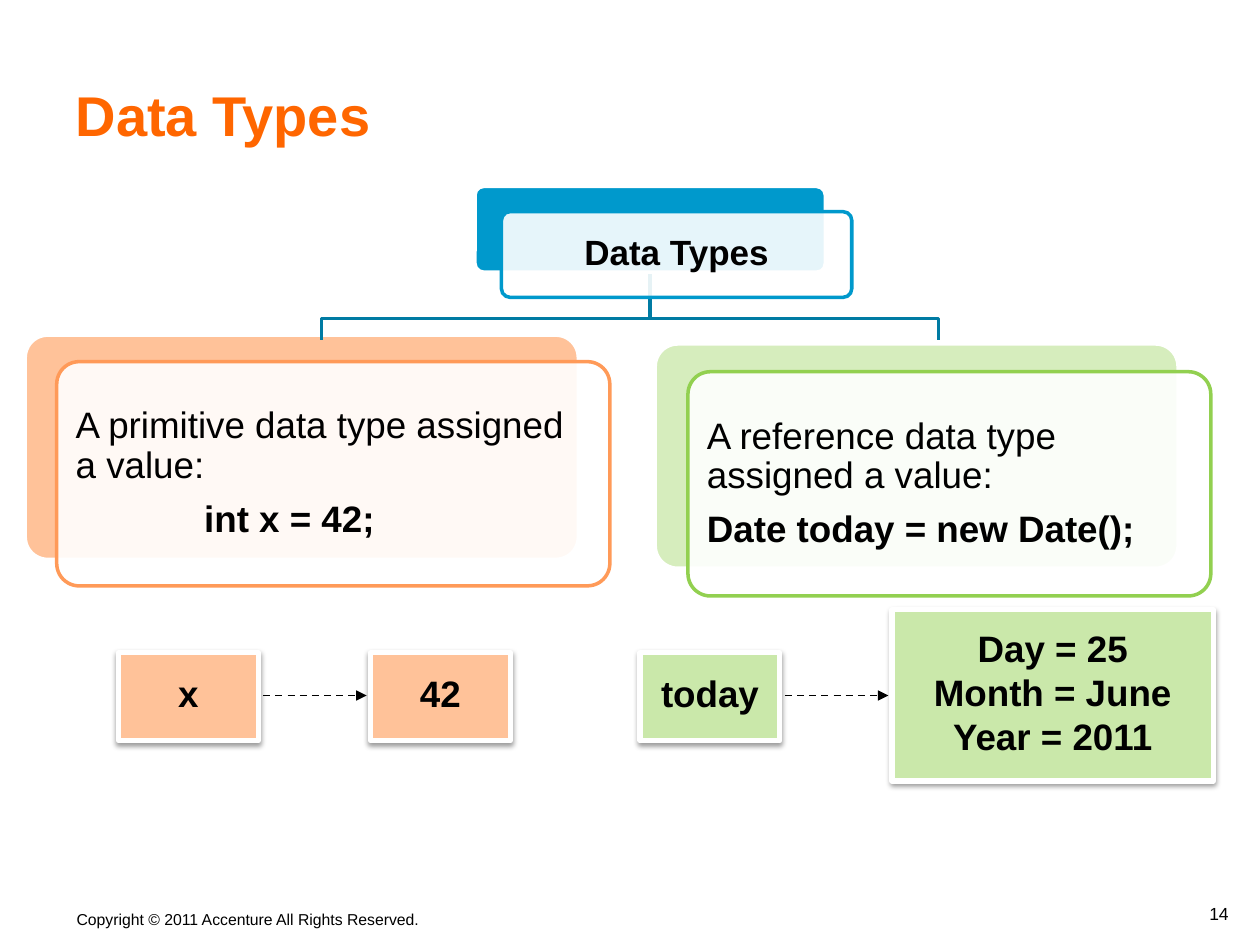
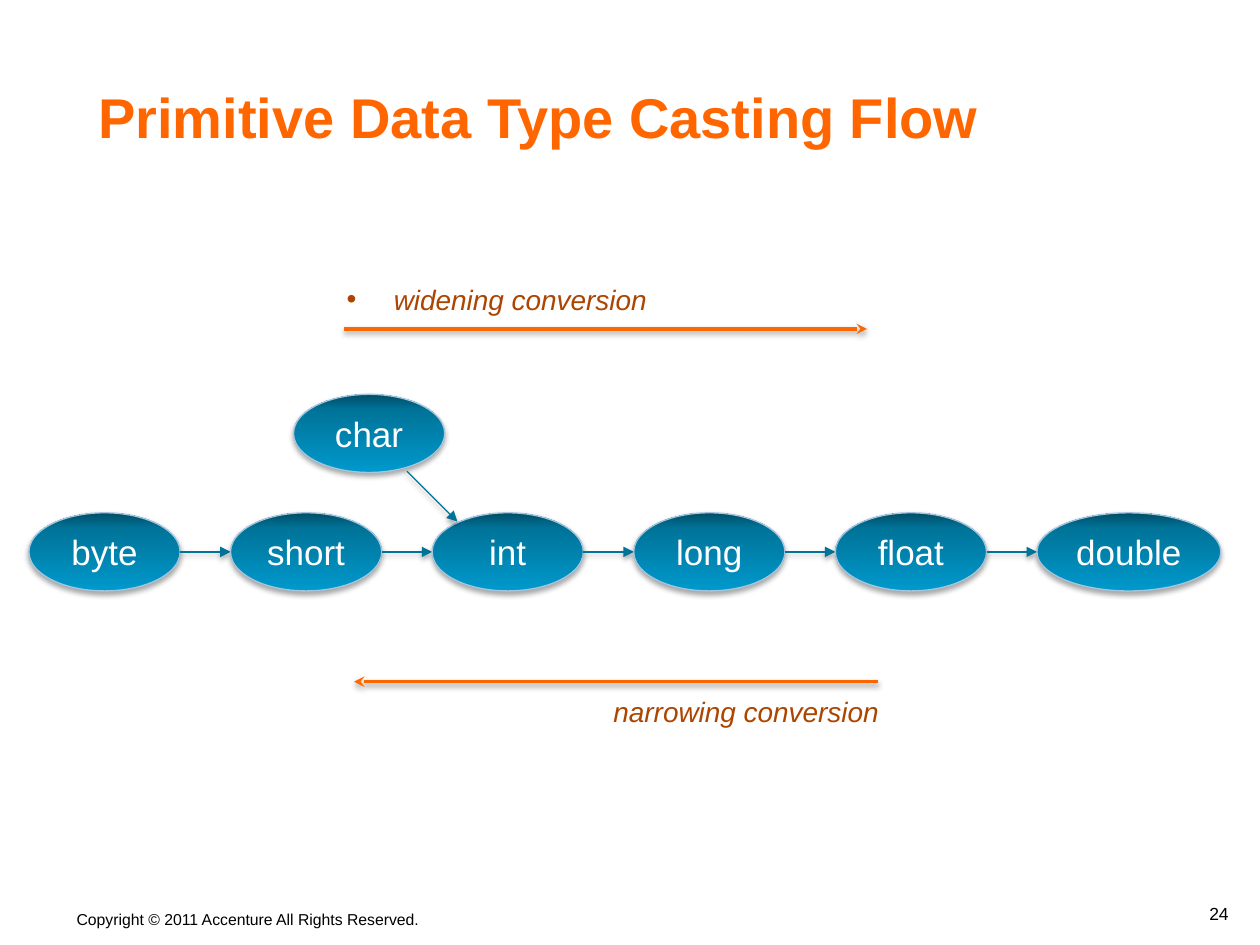
from dataclasses import dataclass, replace
from typing import Optional

from lxml import etree
from pptx import Presentation
from pptx.dml.color import RGBColor
from pptx.enum.dml import MSO_LINE
from pptx.enum.shapes import MSO_CONNECTOR, MSO_SHAPE
from pptx.enum.text import MSO_ANCHOR, MSO_AUTO_SIZE, PP_ALIGN
from pptx.oxml.ns import qn
from pptx.util import Inches, Pt

LEFT, CENTER, RIGHT = PP_ALIGN.LEFT, PP_ALIGN.CENTER, PP_ALIGN.RIGHT
TOP, MIDDLE, BOTTOM = MSO_ANCHOR.TOP, MSO_ANCHOR.MIDDLE, MSO_ANCHOR.BOTTOM
RECT, OVAL = MSO_SHAPE.RECTANGLE, MSO_SHAPE.OVAL
ROUNDED = MSO_SHAPE.ROUNDED_RECTANGLE
STRAIGHT, DASH, NO_FIT = MSO_CONNECTOR.STRAIGHT, MSO_LINE.DASH, MSO_AUTO_SIZE.NONE

FONT = "Arial"
BLACK, WHITE = "000000", "FFFFFF"
ORANGE, RUST = "FF6600", "AD4500"
PEACH, PEACH_EDGE = "FFC299", "FF9A58"
PALE_GREEN, GREEN, GREEN_EDGE = "D6EDBD", "CAE8AA", "92D050"
BLUE, TREE_BLUE, FLOW_BLUE, OVAL_EDGE = "0099CC", "007BA3", "007399", "A5C6DE"
OVAL_GRADIENT = ((0, BLUE), (80, FLOW_BLUE), (100, "004D66"))
COPYRIGHT = "Copyright © 2011 Accenture All Rights Reserved."


@dataclass(frozen=True)
class Box:
    left: float
    top: float
    width: float
    height: float

    def lengths(self) -> tuple:
        return tuple(Inches(v) for v in (self.left, self.top, self.width, self.height))


@dataclass(frozen=True)
class TextStyle:
    size: float
    color: str = BLACK
    bold: bool = False
    italic: bool = False
    align: PP_ALIGN = LEFT
    anchor: MSO_ANCHOR = TOP
    spacing: float = 1.0
    before: float = 0
    after: float = 0
    wrap: bool = True


@dataclass(frozen=True)
class Shadow:
    opacity: int
    blur: float
    distance: float


@dataclass(frozen=True)
class Arrow:
    color: str
    width: float
    head: str
    shadow: Optional[Shadow] = None
    dashed: bool = False


@dataclass(frozen=True)
class Card:
    """A white rounded card lying over a coloured one."""
    back: Box
    front: Box
    fill: str
    edge: str


@dataclass(frozen=True)
class ValueBox:
    box: Box
    lines: tuple
    fill: str


BOX_SHADOW = Shadow(38, 3.1, 1.6)
FLOW_SHADOW = Shadow(35, 3.1, 1.8)

TITLE = TextStyle(32, ORANGE, bold=True, anchor=BOTTOM)
FOOTER = TextStyle(9, wrap=False)
PAGE_NUMBER = TextStyle(10, align=RIGHT, anchor=BOTTOM, spacing=0.8)
ROOT_LABEL = TextStyle(20, bold=True, align=CENTER, anchor=MIDDLE, spacing=0.9)
CARD_TEXT = TextStyle(21, anchor=MIDDLE, spacing=0.9, after=8)
VALUE = TextStyle(21, bold=True, align=CENTER, anchor=MIDDLE, spacing=0.8,
                  before=5, wrap=False)
TYPE_NAME = TextStyle(20, WHITE, align=CENTER, anchor=MIDDLE, wrap=False)
CONVERSION = TextStyle(16, RUST, italic=True)

REFERENCE_ARROW = Arrow(BLACK, 1, "triangle", dashed=True)
FLOW_ARROW = Arrow(FLOW_BLUE, 0.75, "triangle", FLOW_SHADOW)
CONVERSION_ARROW = Arrow(ORANGE, 2, "stealth", BOX_SHADOW)

ROOT_CARD = Card(Box(3.77, 1.48, 2.78, 0.68), Box(3.98, 1.68, 2.78, 0.68), BLUE, BLUE)
PRIMITIVE_CARD = Card(Box(0.2, 2.66, 4.39, 1.78), Box(0.45, 2.87, 4.39, 1.78),
                      PEACH, PEACH_EDGE)
REFERENCE_CARD = Card(Box(5.2, 2.73, 4.15, 1.78), Box(5.46, 2.95, 4.15, 1.78),
                      PALE_GREEN, GREEN_EDGE)
VALUE_BOXES = (
    ValueBox(Box(0.94, 5.18, 1.11, 0.7), ("x",), PEACH),
    ValueBox(Box(2.94, 5.18, 1.11, 0.7), ("42",), PEACH),
    ValueBox(Box(5.08, 5.18, 1.11, 0.7), ("today",), GREEN),
    ValueBox(Box(7.08, 4.84, 2.55, 1.36),
             ("Day = 25", "Month = June", "Year = 2011"), GREEN),
)

OVAL_WIDTH, OVAL_HEIGHT, OVAL_GAP = 1.2, 0.62, 0.4
FLOW_LEFT, FLOW_TOP = 0.23, 4.07
FLOW_TYPES = ("byte", "short", "int", "long", "float", "double")
WIDE_OVALS = {"double": 1.46}


def rgb(color: str) -> RGBColor:
    return RGBColor.from_string(color)


def write(shape, lines: tuple, style: TextStyle) -> list:
    frame = shape.text_frame
    frame.auto_size = NO_FIT
    frame.word_wrap = style.wrap
    frame.vertical_anchor = style.anchor
    frame.text = "\n".join(lines)
    for i, paragraph in enumerate(frame.paragraphs):
        paragraph.alignment = style.align
        paragraph.line_spacing = style.spacing
        paragraph.space_before = Pt(style.before if i else 0)
        paragraph.space_after = Pt(style.after)
        font = paragraph.font
        font.name, font.size = FONT, Pt(style.size)
        font.bold, font.italic = style.bold, style.italic
        font.color.rgb = rgb(style.color)
    return list(frame.paragraphs)


def indent(paragraph, left: float, first: float = 0) -> None:
    properties = paragraph._p.get_or_add_pPr()
    properties.set("marL", str(Inches(left)))
    properties.set("indent", str(Inches(first)))


def add_text(slide, box: Box, line: str, style: TextStyle) -> None:
    write(slide.shapes.add_textbox(*box.lengths()), (line,), style)


def set_effects(shape, shadow: Optional[Shadow]) -> None:
    """Replace the theme's effects by the given shadow, or by none."""
    effects = etree.SubElement(shape._element.spPr, qn("a:effectLst"))
    if shadow:
        outer = etree.SubElement(effects, qn("a:outerShdw"), blurRad=str(Pt(shadow.blur)),
                                 dist=str(Pt(shadow.distance)), dir="5400000",
                                 rotWithShape="0")
        color = etree.SubElement(outer, qn("a:srgbClr"), val=BLACK)
        etree.SubElement(color, qn("a:alpha"), val=str(shadow.opacity * 1000))


def set_line(shape, color: str, width: float) -> None:
    shape.line.color.rgb = rgb(color)
    shape.line.width = Pt(width)


def add_block(slide, kind, box: Box, fill: str, edge: str, width: float,
              shadow: Optional[Shadow] = None):
    block = slide.shapes.add_shape(kind, *box.lengths())
    if kind == ROUNDED:
        block.adjustments[0] = 0.1
    block.fill.solid()
    block.fill.fore_color.rgb = rgb(fill)
    set_line(block, edge, width)
    set_effects(block, shadow)
    return block


def add_card(slide, card: Card, lines: tuple, style: TextStyle) -> list:
    add_block(slide, ROUNDED, card.back, card.fill, WHITE, 2)
    front = add_block(slide, ROUNDED, card.front, WHITE, card.edge, 2)
    white = front._element.spPr.find(qn("a:solidFill"))[0]
    etree.SubElement(white, qn("a:alpha"), val="90000")
    return write(front, lines, style)


def add_arrow(slide, start: tuple, end: tuple, arrow: Arrow) -> None:
    connector = slide.shapes.add_connector(STRAIGHT, *map(Inches, start + end))
    set_line(connector, arrow.color, arrow.width)
    if arrow.dashed:
        connector.line.dash_style = DASH
    line = connector._element.spPr.find(qn("a:ln"))
    etree.SubElement(line, qn("a:tailEnd"), type=arrow.head)
    set_effects(connector, arrow.shadow)


def add_branch(slide, child_x: float) -> None:
    """Draw the elbow from the root of the tree down to one child."""
    root_x, root_y, bend_y, child_y = 5.16, 2.16, 2.53, 2.7
    corners = ((root_x, bend_y), (child_x, bend_y), (child_x, child_y))
    builder = slide.shapes.build_freeform(Inches(root_x), Inches(root_y))
    builder.add_line_segments([(Inches(x), Inches(y)) for x, y in corners], close=False)
    branch = builder.convert_to_shape()
    branch.fill.background()
    set_line(branch, TREE_BLUE, 2)
    set_effects(branch, None)


def add_type_oval(slide, box: Box, name: str) -> None:
    oval = add_block(slide, OVAL, box, BLUE, OVAL_EDGE, 0.75, FLOW_SHADOW)
    properties = oval._element.spPr
    gradient = etree.Element(qn("a:gradFill"), rotWithShape="1")
    stops = etree.SubElement(gradient, qn("a:gsLst"))
    for position, color in OVAL_GRADIENT:
        stop = etree.SubElement(stops, qn("a:gs"), pos=str(position * 1000))
        etree.SubElement(stop, qn("a:srgbClr"), val=color)
    etree.SubElement(gradient, qn("a:lin"), ang="16200000", scaled="0")
    properties.replace(properties.find(qn("a:solidFill")), gradient)
    write(oval, (name,), TYPE_NAME)


def place(placeholder, box: Box) -> None:
    (placeholder.left, placeholder.top,
     placeholder.width, placeholder.height) = box.lengths()


def add_page(deck, layout: int, title: str, title_box: Box, number: int):
    slide = deck.slides.add_slide(deck.slide_layouts[layout])
    place(slide.shapes.title, title_box)
    write(slide.shapes.title, (title,), TITLE)
    add_text(slide, Box(0.51, 7.17, 2.97, 0.25), COPYRIGHT, FOOTER)
    add_text(slide, Box(8, 7.08, 1.85, 0.3), str(number), PAGE_NUMBER)
    return slide


def build_data_types(deck) -> None:
    slide = add_page(deck, 5, "Data Types", Box(0.5, 0.22, 8.92, 1), 14)
    primitive = add_card(slide, PRIMITIVE_CARD, (
        "A primitive data type assigned a value:", "int x = 42;"), CARD_TEXT)
    reference = add_card(slide, REFERENCE_CARD, (
        "A reference data type assigned a value:", "Date today = new Date();"), CARD_TEXT)
    indent(primitive[1], 1.02)
    for code in (primitive[1], reference[1]):
        code.font.bold = True
    for child_x in (7.45, 2.55):
        add_branch(slide, child_x)
    add_card(slide, ROOT_CARD, ("Data Types",), ROOT_LABEL)
    for value in VALUE_BOXES:
        block = add_block(slide, RECT, value.box, value.fill, WHITE, 3, BOX_SHADOW)
        write(block, value.lines, VALUE)
    for start_x, end_x in ((2.09, 2.91), (6.23, 7.05)):
        add_arrow(slide, (start_x, 5.52), (end_x, 5.52), REFERENCE_ARROW)


def build_casting_flow(deck) -> None:
    slide = add_page(deck, 1, "Primitive Data Type Casting Flow",
                     Box(0.68, 0.04, 8.91, 1.2), 24)
    middle = FLOW_TOP + OVAL_HEIGHT / 2
    for i, name in enumerate(FLOW_TYPES):
        left = FLOW_LEFT + i * (OVAL_WIDTH + OVAL_GAP)
        if i:
            add_arrow(slide, (left - OVAL_GAP, middle), (left, middle), FLOW_ARROW)
        width = WIDE_OVALS.get(name, OVAL_WIDTH)
        add_type_oval(slide, Box(left, FLOW_TOP, width, OVAL_HEIGHT), name)
    add_type_oval(slide, Box(2.33, 3.13, OVAL_WIDTH, OVAL_HEIGHT), "char")
    add_arrow(slide, (3.23, 3.74), (3.63, 4.14), FLOW_ARROW)

    widening = slide.placeholders[1]
    place(widening, Box(2.65, 2.19, 4.07, 0.38))
    paragraph = widening.text_frame.paragraphs[0]
    indent(paragraph, 0)
    etree.SubElement(paragraph._p.get_or_add_pPr(), qn("a:buNone"))
    write(widening, ("widening conversion",), replace(CONVERSION, anchor=TOP))
    add_arrow(slide, (2.73, 2.61), (6.88, 2.61), CONVERSION_ARROW)
    add_arrow(slide, (6.97, 5.41), (2.81, 5.41), CONVERSION_ARROW)
    add_text(slide, Box(4.77, 5.46, 4.03, 0.34), "narrowing conversion", CONVERSION)


def main() -> None:
    deck = Presentation()
    deck.slide_width, deck.slide_height = Inches(10), Inches(7.5)
    build_data_types(deck)
    build_casting_flow(deck)
    deck.save("out.pptx")


if __name__ == "__main__":
    main()
